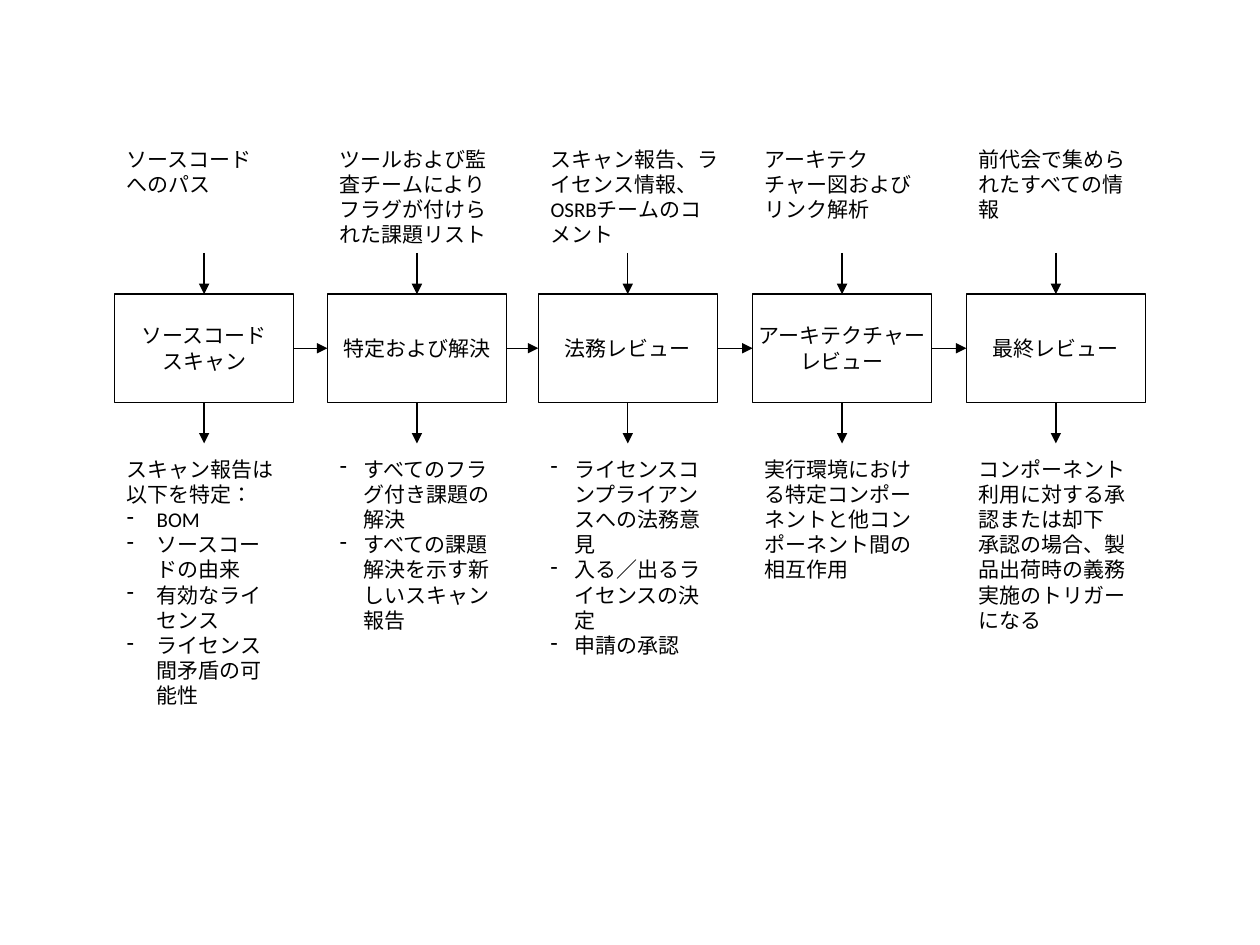
from dataclasses import dataclass

from lxml.etree import SubElement
from pptx import Presentation
from pptx.dml.color import RGBColor
from pptx.enum.lang import MSO_LANGUAGE_ID
from pptx.enum.shapes import MSO_CONNECTOR, MSO_SHAPE
from pptx.enum.text import MSO_ANCHOR, MSO_AUTO_SIZE, PP_ALIGN
from pptx.oxml.ns import qn
from pptx.util import Cm, Pt

COLORS = {"ink": "000000", "paper": "FFFFFF"}
FONT_NAME = "Calibri"
BOX_WIDTH, BOX_HEIGHT = 3.61, 2.18
BOX_TOP = 5.93
BOX_BOTTOM = BOX_TOP + BOX_HEIGHT
BOX_MIDDLE = BOX_TOP + BOX_HEIGHT / 2
INPUT_TOP, OUTPUT_TOP = 2.82, 9.07
ARROW_LENGTH = 0.83
LINE_WIDTH = Pt(0.75)


@dataclass
class Stage:
    left: float
    name: list[str]
    inputs: list[str]
    outputs: list[str]
    bullets: list[str]
    input_height: float
    output_height: float
    hanging: float = 0.48
    input_width: float = BOX_WIDTH
    output_width: float = BOX_WIDTH


STAGES = [
    Stage(2.31, ["ソースコード", "スキャン"], ["ソースコード", "へのパス"],
          ["スキャン報告は以下を特定："],
          ["BOM", "ソースコードの由来", "有効なライセンス", "ライセンス間矛盾の可能性"],
          1.28, 4.83, hanging=0.6),
    Stage(6.6, ["特定および解決"],
          ["ツールおよび監査チームによりフラグが付けられた課題リスト"], [],
          ["すべてのフラグ付き課題の解決", "すべての課題解決を示す新しいスキャン報告"],
          2.29, 3.81),
    Stage(10.85, ["法務レビュー"],
          ["スキャン報告、ライセンス情報、OSRBチームのコメント"], [],
          ["ライセンスコンプライアンスへの法務意見", "入る／出るライセンスの決定", "申請の承認"],
          2.29, 4.83, input_width=3.89),
    Stage(15.17, ["アーキテクチャー", "レビュー"],
          ["アーキテクチャー図およびリンク解析"],
          ["実行環境における特定コンポーネントと他コンポーネント間の相互作用"], [],
          1.78, 2.79),
    Stage(19.48, ["最終レビュー"], ["前代会で集められたすべての情報"],
          ["コンポーネント利用に対する承認または却下",
           "承認の場合、製品出荷時の義務実施のトリガーになる"], [],
          1.78, 3.81, output_width=3.86),
]


def color(name: str) -> RGBColor:
    return RGBColor.from_string(COLORS[name])


def add_bullet(paragraph, hanging: float) -> None:
    properties = paragraph._p.get_or_add_pPr()
    properties.set("marL", str(Cm(hanging)))
    properties.set("indent", str(-Cm(hanging)))
    SubElement(properties, qn("a:buFontTx"))
    SubElement(properties, qn("a:buChar"), char="-")


def write_lines(frame, lines: list[str], alignment: PP_ALIGN,
                bullets: tuple[str, ...] = (), hanging: float = 0) -> None:
    for index, text in enumerate([*lines, *bullets]):
        paragraph = frame.add_paragraph() if index else frame.paragraphs[0]
        paragraph.alignment = alignment
        if index >= len(lines):
            add_bullet(paragraph, hanging)
        run = paragraph.add_run()
        run.text = text
        run.font.language_id = MSO_LANGUAGE_ID.JAPANESE
        paragraph.font.name = FONT_NAME
        paragraph.font.size = Pt(12)
        paragraph.font.color.rgb = color("ink")


def add_box(slide, stage: Stage) -> None:
    shape = slide.shapes.add_shape(MSO_SHAPE.RECTANGLE, Cm(stage.left), Cm(BOX_TOP),
                                   Cm(BOX_WIDTH), Cm(BOX_HEIGHT))
    shape.shadow.inherit = False
    shape.fill.background()
    shape.line.color.rgb = color("ink")
    shape.line.width = LINE_WIDTH
    shape.text_frame.word_wrap = False
    shape.text_frame.vertical_anchor = MSO_ANCHOR.MIDDLE
    write_lines(shape.text_frame, stage.name, PP_ALIGN.CENTER)


def add_note(slide, left: float, top: float, width: float, height: float,
             lines: list[str], bullets: tuple[str, ...] = (), hanging: float = 0) -> None:
    frame = slide.shapes.add_textbox(Cm(left), Cm(top), Cm(width), Cm(height)).text_frame
    frame.word_wrap = True
    frame.auto_size = MSO_AUTO_SIZE.SHAPE_TO_FIT_TEXT
    write_lines(frame, lines, PP_ALIGN.LEFT, bullets, hanging)


def add_arrow(slide, start_x: float, start_y: float, end_x: float, end_y: float) -> None:
    connector = slide.shapes.add_connector(MSO_CONNECTOR.STRAIGHT, Cm(start_x), Cm(start_y),
                                           Cm(end_x), Cm(end_y))
    connector.line.color.rgb = color("ink")
    connector.line.width = LINE_WIDTH
    SubElement(connector.line._get_or_add_ln(), qn("a:tailEnd"), type="triangle")
    SubElement(connector._element.spPr, qn("a:effectLst"))


def add_stage(slide, stage: Stage) -> None:
    center = stage.left + BOX_WIDTH / 2
    add_box(slide, stage)
    add_note(slide, stage.left, INPUT_TOP, stage.input_width, stage.input_height, stage.inputs)
    add_note(slide, stage.left, OUTPUT_TOP, stage.output_width, stage.output_height,
             stage.outputs, tuple(stage.bullets), stage.hanging)
    add_arrow(slide, center, BOX_TOP - ARROW_LENGTH, center, BOX_TOP)
    add_arrow(slide, center, BOX_BOTTOM, center, BOX_BOTTOM + ARROW_LENGTH)


def main() -> None:
    presentation = Presentation()
    presentation.slide_width, presentation.slide_height = Cm(25.4), Cm(19.05)
    slide = presentation.slides.add_slide(presentation.slide_layouts[6])
    slide.background.fill.solid()
    slide.background.fill.fore_color.rgb = color("paper")
    for stage in STAGES:
        add_stage(slide, stage)
    for stage, following in zip(STAGES, STAGES[1:]):
        add_arrow(slide, stage.left + BOX_WIDTH, BOX_MIDDLE, following.left, BOX_MIDDLE)
    presentation.save("out.pptx")


if __name__ == "__main__":
    main()
